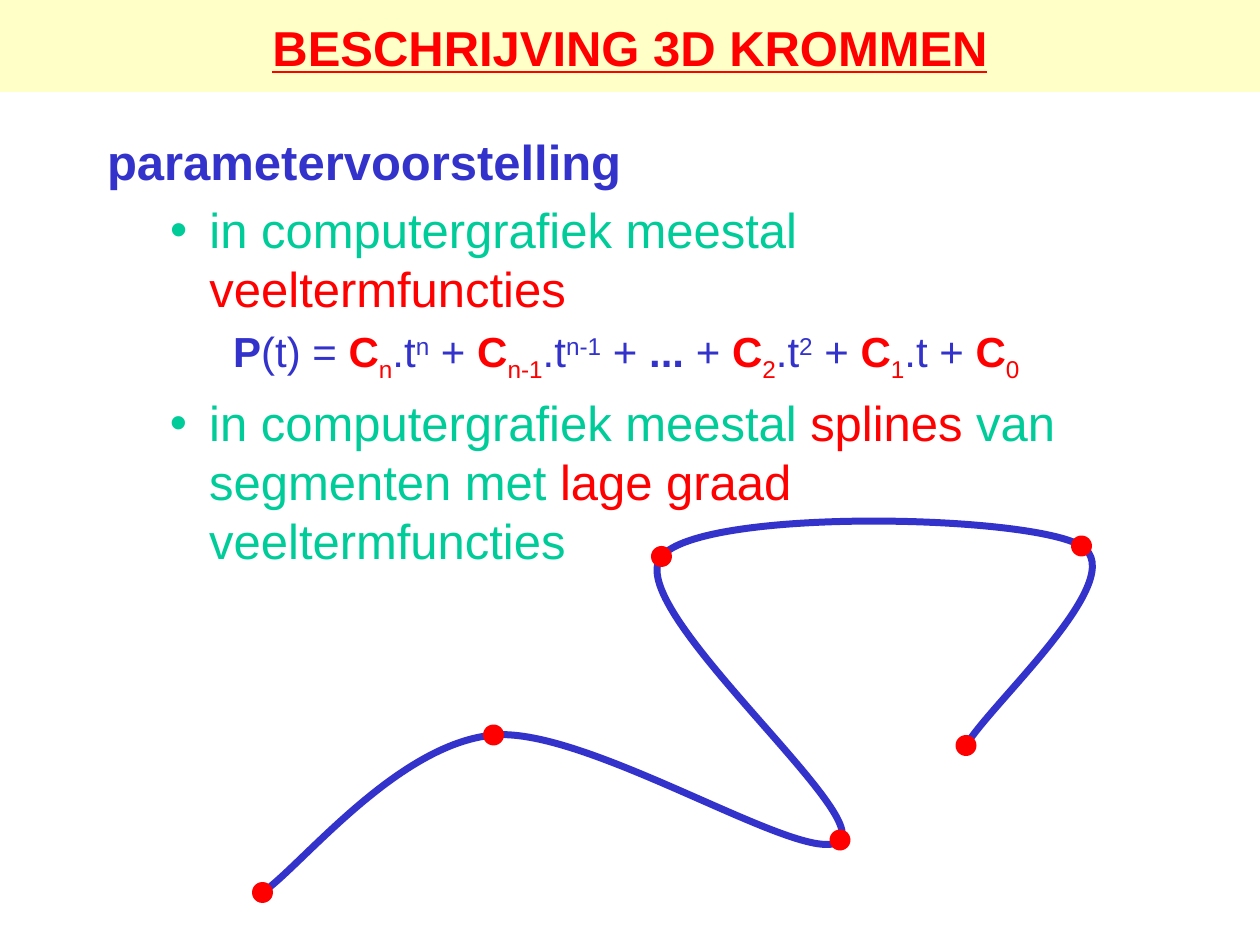
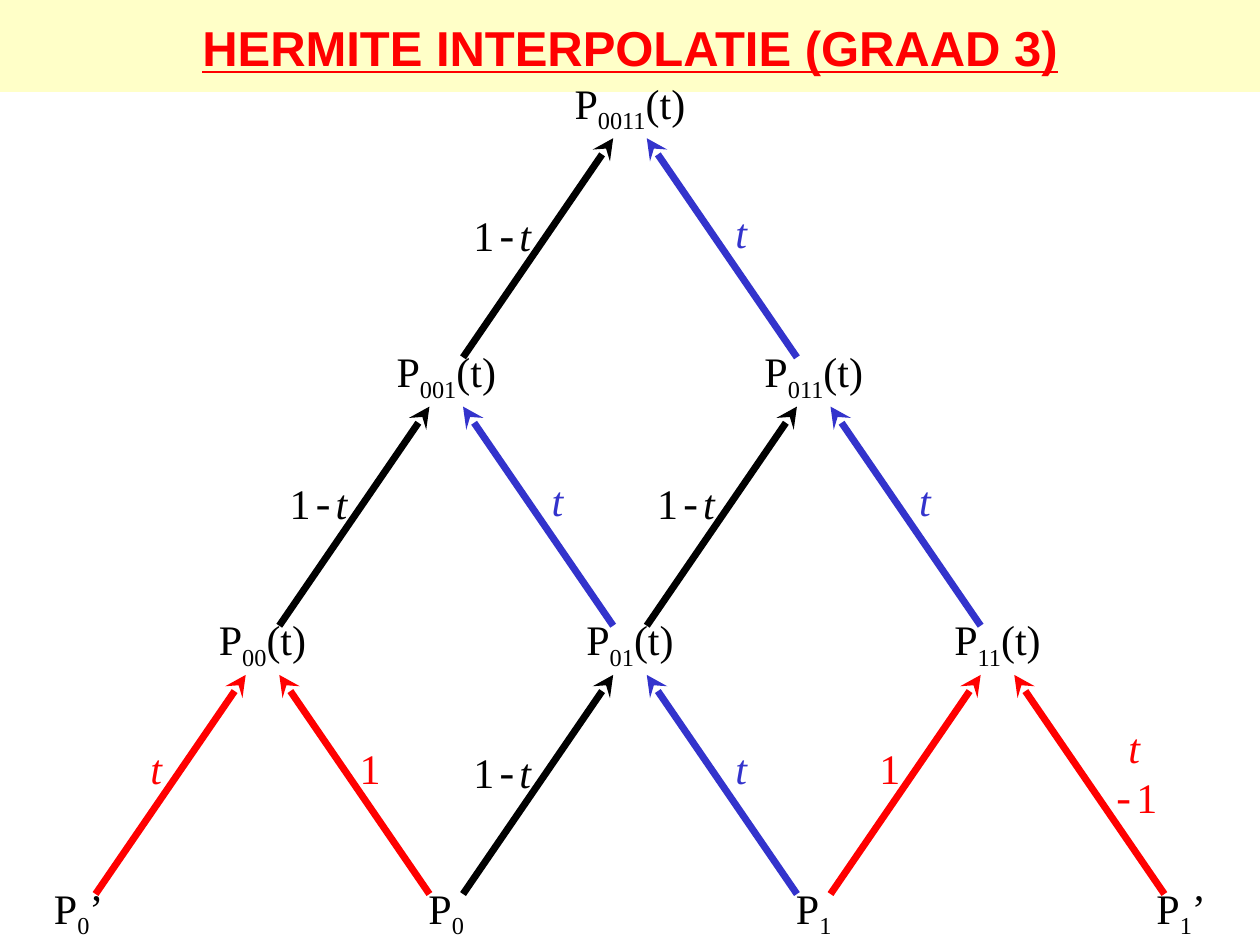
from lxml import etree
from pptx import Presentation
from pptx.dml.color import RGBColor
from pptx.enum.shapes import MSO_CONNECTOR, MSO_SHAPE
from pptx.enum.text import MSO_ANCHOR, MSO_AUTO_SIZE, PP_ALIGN
from pptx.oxml.ns import qn
from pptx.util import Pt

LINE = MSO_CONNECTOR.STRAIGHT
RECT, OVAL = MSO_SHAPE.RECTANGLE, MSO_SHAPE.OVAL
MIDDLE, CENTER = MSO_ANCHOR.MIDDLE, PP_ALIGN.CENTER
FIXED, GROW = MSO_AUTO_SIZE.NONE, MSO_AUTO_SIZE.SHAPE_TO_FIT_TEXT

WIDE, HIGH = 720, 540
HUES = {"band": "FFFFC8", "red": "FF0000", "blue": "3333CC",
        "green": "00CC99", "black": "000000"}
SANS, SERIF, MONO = "Arial", "Times New Roman", "Courier New"

# Left margin, hanging indent and bullet of each list level
LEVELS = [(27, -27, None), (58.5, -22.5, "•"), (90, -18, None)]

# Curve: start point, then two handles and an end point per segment
CURVE = [(0, 220),
         (22, 205), (77, 135), (132, 130),
         (187, 125), (314, 208), (330, 190),
         (346, 173), (205, 56), (228, 28),
         (251, 0), (439, 4), (468, 22),
         (497, 40), (416, 112), (402, 136)]
DOT = 12

# Nodes from the top down: index and what follows it
NODES = [[("0011", "(t)")],
         [("001", "(t)"), ("011", "(t)")],
         [("00", "(t)"), ("01", "(t)"), ("11", "(t)")],
         [("0", "’"), ("0", ""), ("1", ""), ("1", "’")]]
TAILS = {"": 0, "’": 8, "(t)": 22}

# Edge labels: colour, runs, box width, distance from the arrow's middle
LEFT = ("black", [("1", ""), ("-", "m"), ("t", "i")], 47.5, 20.5, 7.4)
RIGHT = ("blue", [("t", "i")], 21, 11, 9.3)
RED_T = ("red", [("t", "i")], 21, 8.3, 9.3)
RED_1 = ("red", [("1", "")], 26.6, 9, 9.3)
RED_T1 = ("red", [("t ", "i"), ("-", "m"), ("1", "")], 53, 25.6, 7.4)
EDGES = {(2, 0): (RED_T, RED_1), (2, 2): (RED_1, RED_T1)}


def hue(name):
    return RGBColor.from_string(HUES[name])


def write(para, runs, size, face):
    """Add (text, colour, marks) runs; marks: b, i, u, m(ono), ^ and _."""
    for text, tint, marks in runs:
        run = para.add_run()
        run.text = text
        font = run.font
        font.size, font.color.rgb = Pt(size), hue(tint)
        font.name = MONO if "m" in marks else face
        font.bold, font.italic = "b" in marks, "i" in marks
        font.underline = "u" in marks
        for mark, shift in (("^", "30000"), ("_", "-25000")):
            if mark in marks:
                run._r.get_or_add_rPr().set("baseline", shift)


def item(para, level, runs, size=28):
    """Write one list paragraph with its level's indent and bullet."""
    para.level = level
    left, hang, mark = LEVELS[level]
    props = para._p.get_or_add_pPr()
    props.set("marL", str(Pt(left)))
    props.set("indent", str(Pt(hang)))
    space = etree.SubElement(props, qn("a:spcBef"))
    etree.SubElement(space, qn("a:spcPct")).set("val", "20000")
    if mark:
        etree.SubElement(props, qn("a:buFont")).set("typeface", SANS)
        etree.SubElement(props, qn("a:buChar")).set("char", mark)
    else:
        etree.SubElement(props, qn("a:buNone"))
    write(para, runs, size, SANS)


def place(shape, box):
    shape.left, shape.top, shape.width, shape.height = map(Pt, box)


def solid(slide, kind, box, tint):
    shape = slide.shapes.add_shape(kind, *map(Pt, box))
    shape.shadow.inherit = False
    shape.fill.solid()
    shape.fill.fore_color.rgb = hue(tint)
    shape.line.fill.background()
    return shape


def stroke(shape, tint):
    shape.line.color.rgb = hue(tint)
    shape.line.width = Pt(4)


def add_band(deck, slide):
    """Draw the title band and hand it to the master, behind all else."""
    band = solid(slide, RECT, (0, 0, WIDE, 52.5), "band")
    band.element.nvSpPr.cNvPr.set("id", "20")
    deck.slide_master.shapes.element.insert(2, band.element)


def set_title(slide, text):
    title = slide.shapes.title
    place(title, (0, 0, WIDE, 54))
    frame = title.text_frame
    frame.auto_size, frame.vertical_anchor = FIXED, MIDDLE
    para = frame.paragraphs[0]
    para.alignment = CENTER
    write(para, [(text, "red", "bu")], 28, SANS)


def series():
    """Return the runs of the polynomial P(t)."""
    runs = [("P", "blue", "b"), ("(t) = ", "blue", "")]
    for power in ("n", "n-1", "...", "2", "1", "0"):
        if power != "n":
            runs.append((" + ", "blue", ""))
        if power == "...":
            runs.append((power, "blue", "b"))
            continue
        runs += [("C", "red", "b"), (power, "red", "_")]
        if power != "0":
            runs.append((".t", "blue", ""))
        if power not in "01":
            runs.append((power, "blue", "^"))
    return runs


def add_list(slide, box):
    body = slide.placeholders[1]
    place(body, box)
    frame = body.text_frame
    frame.auto_size = GROW
    item(frame.paragraphs[0], 0, [("parametervoorstelling", "blue", "b")])
    item(frame.add_paragraph(), 1, [("in computergrafiek meestal ", "green", ""),
                                    ("veeltermfuncties", "red", "")])
    item(frame.add_paragraph(), 2, series(), 24)


def add_note(slide, box):
    frame = slide.shapes.add_textbox(*map(Pt, box)).text_frame
    frame.word_wrap, frame.auto_size = True, GROW
    item(frame.paragraphs[0], 1, [
        ("in computergrafiek meestal ", "green", ""), ("splines", "red", ""),
        (" van segmenten met ", "green", ""), ("lage graad", "red", ""),
        (" veeltermfuncties", "green", "")])


def add_curve(slide, left, top):
    spots = [(left + x, top + y) for x, y in CURVE]
    points = [(Pt(x), Pt(y)) for x, y in spots]
    draft = slide.shapes.build_freeform(*points[0], scale=1.0)
    draft.add_line_segments(points[1:], close=False)
    curve = draft.convert_to_shape()
    curve.shadow.inherit = False
    curve.fill.background()
    stroke(curve, "blue")
    # Every three points become one cubic segment
    track = curve.element.find(".//" + qn("a:path"))
    steps = track.findall(qn("a:lnTo"))
    for start in range(0, len(steps), 3):
        cubic = etree.SubElement(track, qn("a:cubicBezTo"))
        for step in steps[start:start + 3]:
            cubic.append(step[0])
            track.remove(step)
    for x, y in spots[::3]:
        solid(slide, OVAL, (x - DOT / 2, y - DOT / 2, DOT, DOT), "red")


def add_label(slide, x, y, wide, runs):
    """Centre one unwrapped line of text on a point."""
    box = (x - wide / 2, y - 18, wide, 36)
    frame = slide.shapes.add_textbox(*map(Pt, box)).text_frame
    frame.word_wrap, frame.auto_size = False, GROW
    frame.vertical_anchor = MIDDLE
    para = frame.paragraphs[0]
    para.alignment = CENTER
    write(para, runs, 24, SERIF)


def add_edge(slide, child, parent, side, label):
    """Draw an arrow up to the parent; side is 1 from the left, -1 from the right."""
    tint, runs, wide, gap, lift = label
    x1, y1 = child[0] + side * 9.6, child[1] - 9.6
    x2, y2 = parent[0] - side * 9.6, parent[1] + 18.5
    arrow = slide.shapes.add_connector(LINE, *map(Pt, (x1, y1, x2, y2)))
    stroke(arrow, tint)
    etree.SubElement(arrow.line._get_or_add_ln(), qn("a:tailEnd")).set("type", "stealth")
    etree.SubElement(arrow.element.spPr, qn("a:effectLst"))
    add_label(slide, (x1 + x2) / 2 - side * gap, (y1 + y2) / 2 - lift, wide,
              [(text, tint, marks) for text, marks in runs])


def add_tree(slide, box):
    """Spread the nodes over a box that runs through the outer node centres."""
    left, top, wide, high = box
    last = len(NODES) - 1
    pitch, drop = wide / last, high / last

    def spot(row, col):
        return left + (col + (last - row) / 2) * pitch, top + row * drop

    for row, nodes in enumerate(NODES):
        for col, (index, tail) in enumerate(nodes):
            runs = [("P", "black", ""), (index, "black", "_")]
            if tail:
                runs.append((tail, "black", ""))
            wide = 27.8 + 8.2 * len(index) + TAILS[tail]
            add_label(slide, *spot(row, col), wide, runs)
            if row < last:
                labels = EDGES.get((row, col), (LEFT, RIGHT))
                for step, label in enumerate(labels):
                    add_edge(slide, spot(row + 1, col + step), spot(row, col),
                             1 - 2 * step, label)


def main():
    deck = Presentation()
    deck.slide_width, deck.slide_height = Pt(WIDE), Pt(HIGH)

    slide = deck.slides.add_slide(deck.slide_layouts[1])
    add_band(deck, slide)
    set_title(slide, "BESCHRIJVING 3D KROMMEN")
    add_list(slide, (54, 71.3, 612, 149))
    add_curve(slide, 150, 290)
    add_note(slide, (54, 221, 612, 108))

    slide = deck.slides.add_slide(deck.slide_layouts[5])
    set_title(slide, "HERMITE INTERPOLATIE (GRAAD 3)")
    add_tree(slide, (45, 60.5, 630, 460))

    deck.save("out.pptx")


if __name__ == "__main__":
    main()
